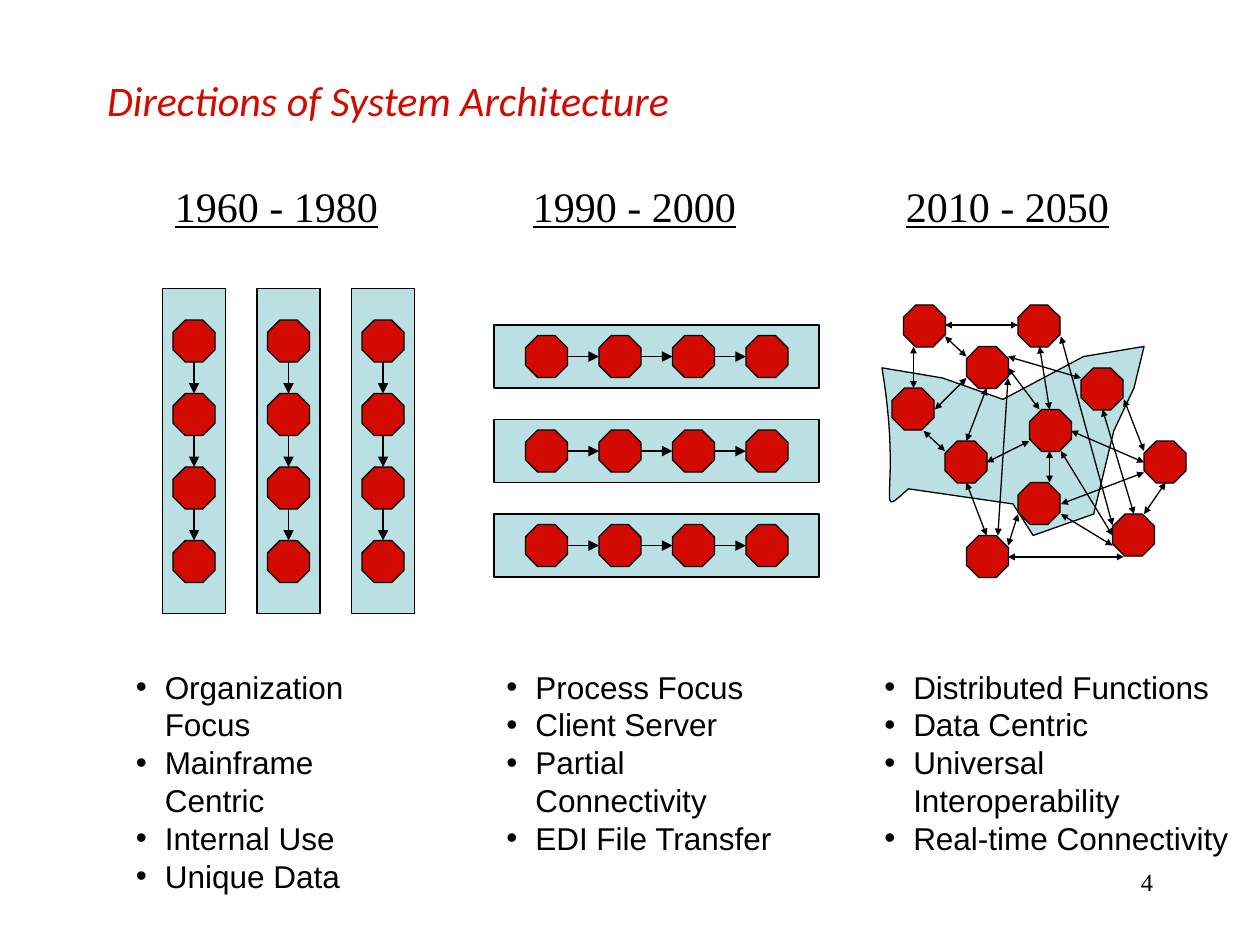
from typing import NamedTuple

from lxml.etree import SubElement
from pptx import Presentation
from pptx.dml.color import RGBColor
from pptx.enum.shapes import MSO_CONNECTOR, MSO_SHAPE
from pptx.enum.text import MSO_ANCHOR, PP_ALIGN
from pptx.oxml.ns import qn
from pptx.util import Inches, Pt

COLORS = {"red": "D30A00", "pale_blue": "BBE0E3", "black": "000000"}
NODE_SIZE = 1 / 3
NODE_STEP = 7 / 12
NODES_PER_BAND = 4
BAND_STEP = 0.75
BAND_LENGTH = 2.58
BAND_WIDTH = 0.5
NODE_INSET = (BAND_WIDTH - NODE_SIZE) / 2
NODE_OFFSET = 0.25

Point = tuple[float, float]


class Era(NamedTuple):
    years: str
    years_left: float
    bullets_left: float
    bullets_width: float
    bullets: list[str]


class Link(NamedTuple):
    start: Point
    end: Point


ERAS = [
    Era("1960 - 1980", 1.29, 0.98, 2.3,
        ["Organization Focus", "Mainframe Centric", "Internal Use", "Unique Data"]),
    Era("1990 - 2000", 4.13, 3.92, 2.42,
        ["Process Focus", "Client Server", "Partial Connectivity", "EDI File Transfer"]),
    Era("2010 - 2050", 7.09, 6.92, 3.04,
        ["Distributed Functions", "Data Centric", "Universal Interoperability",
         "Real-time Connectivity"]),
]

CLOUD_CURVE = [(7, 2.92), (7.17, 3.94), (6.92, 4.14), (7.21, 3.88)]
CLOUD_CORNERS = [
    (8.04, 4), (8.2, 4.25), (8.68, 4.08), (8.84, 3.42), (9, 3.08), (9.08, 2.75),
    (8.6, 2.83), (8.28, 3), (7.96, 3.17), (7.48, 3),
]
NETWORK_NODES = [
    (7.17, 2.42), (8.08, 2.42), (7.08, 3.08), (7.67, 2.75), (8.58, 2.92), (7.5, 3.5),
    (8.17, 3.25), (7.67, 4.25), (9.08, 3.5), (8.08, 3.83), (8.83, 4.08),
]
NETWORK_LINKS = [
    Link((7.5, 2.67), (7.67, 2.83)), Link((7.5, 2.58), (8.08, 2.58)),
    Link((7.25, 2.75), (7.25, 3.08)), Link((7.83, 3.08), (7.67, 3.5)),
    Link((7.67, 3.83), (7.83, 4.25)), Link((8.25, 2.75), (8.33, 3.25)),
    Link((8.75, 3.25), (9, 4.08)), Link((8.42, 2.67), (8.83, 4.17)),
    Link((8, 3), (7.92, 4.25)), Link((7.33, 3.42), (7.5, 3.58)),
    Link((8, 2.92), (8.25, 3.25)), Link((8.33, 3.58), (8.33, 3.83)),
    Link((8.42, 3.58), (8.83, 4.25)), Link((8.92, 3.17), (9.08, 3.58)),
    Link((9.25, 3.83), (9.08, 4.08)), Link((8, 4.42), (8.92, 4.42)),
    Link((8.42, 4.08), (8.83, 4.33)), Link((8.08, 4.08), (8, 4.33)),
    Link((7.67, 3), (7.42, 3.25)), Link((8.17, 3.5), (7.83, 3.67)),
    Link((8, 2.83), (8.58, 3)), Link((8.5, 3.42), (9.08, 3.67)),
    Link((8.42, 4), (9.08, 3.75)),
]


def rgb(name: str) -> RGBColor:
    return RGBColor.from_string(COLORS[name])


def style(shape, fill: str) -> None:
    shape.shadow.inherit = False
    shape.fill.solid()
    shape.fill.fore_color.rgb = rgb(fill)
    shape.line.color.rgb = rgb("black")
    shape.line.width = Pt(0.75)


def add_preset(slide, kind, left: float, top: float, width: float, height: float,
               fill: str) -> None:
    style(slide.shapes.add_shape(kind, Inches(left), Inches(top), Inches(width),
                                 Inches(height)), fill)


def add_node(slide, left: float, top: float) -> None:
    add_preset(slide, MSO_SHAPE.OCTAGON, left, top, NODE_SIZE, NODE_SIZE, "red")


def add_arrow(slide, link: Link, ends: tuple[str, ...] = ("tailEnd",),
              head_size: str = "med") -> None:
    arrow = slide.shapes.add_connector(
        MSO_CONNECTOR.STRAIGHT, *(Inches(value) for value in link.start + link.end))
    arrow.line.color.rgb = rgb("black")
    arrow.line.width = Pt(0.75)
    for end in ends:
        SubElement(arrow.line._get_or_add_ln(), qn(f"a:{end}"), type="triangle",
                   w=head_size, len=head_size)
    SubElement(arrow._element.spPr, qn("a:effectLst"))


def add_band(slide, left: float, top: float, vertical: bool) -> None:
    """Draw a bar holding a chain of nodes joined by arrows."""
    def place(along: float, across: float) -> Point:
        return (left + across, top + along) if vertical else (left + along, top + across)

    size = (BAND_WIDTH, BAND_LENGTH) if vertical else (BAND_LENGTH, BAND_WIDTH)
    add_preset(slide, MSO_SHAPE.RECTANGLE, left, top, *size, "pale_blue")
    starts = [NODE_OFFSET + i * NODE_STEP for i in range(NODES_PER_BAND)]
    for start in starts:
        add_node(slide, *place(start, NODE_INSET))
    for start, following in zip(starts, starts[1:]):
        add_arrow(slide, Link(place(start + NODE_SIZE, BAND_WIDTH / 2),
                              place(following, BAND_WIDTH / 2)))


def curve_points(controls: list[Point], steps: int = 24) -> list[Point]:
    """Sample a cubic Bézier curve."""
    points = []
    for step in range(steps + 1):
        t = step / steps
        weights = ((1 - t) ** 3, 3 * t * (1 - t) ** 2, 3 * t * t * (1 - t), t ** 3)
        points.append(tuple(sum(w * c[axis] for w, c in zip(weights, controls))
                            for axis in (0, 1)))
    return points


def add_cloud(slide) -> None:
    outline = [(Inches(x), Inches(y))
               for x, y in curve_points(CLOUD_CURVE) + CLOUD_CORNERS]
    builder = slide.shapes.build_freeform(*outline[0])
    builder.add_line_segments(outline[1:], close=True)
    style(builder.convert_to_shape(), "pale_blue")


def add_bullet(paragraph) -> None:
    indent = Inches(0.23)
    properties = paragraph._p.get_or_add_pPr()
    properties.set("marL", str(indent))
    properties.set("indent", str(-indent))
    SubElement(properties, qn("a:buFont"), typeface="Arial")
    SubElement(properties, qn("a:buChar"), char="•")


def write(frame, lines: list[str], *, font: str, size: float, color: str = "black",
          italic: bool = False, underline: bool = False, bullets: bool = False,
          wrap: bool = True, align=PP_ALIGN.LEFT, line_pitch: float | None = None) -> None:
    frame.word_wrap = wrap
    for index, line in enumerate(lines):
        paragraph = frame.add_paragraph() if index else frame.paragraphs[0]
        paragraph.alignment = align
        if line_pitch:
            paragraph.line_spacing = Pt(line_pitch)
        if bullets:
            add_bullet(paragraph)
        run = paragraph.add_run()
        run.text = line
        run.font.name = font
        run.font.size = Pt(size)
        run.font.italic = italic
        run.font.underline = underline
        run.font.color.rgb = rgb(color)


def add_frame(slide, left: float, top: float, width: float, height: float):
    return slide.shapes.add_textbox(Inches(left), Inches(top), Inches(width),
                                    Inches(height)).text_frame


def main() -> None:
    deck = Presentation()
    deck.slide_width, deck.slide_height = Inches(10), Inches(7.5)
    slide = deck.slides.add_slide(deck.slide_layouts[5])

    title = slide.shapes.title
    title.left, title.top = Inches(0.75), Inches(0.5)
    title.width, title.height = Inches(8.5), Inches(0.58)
    title.text_frame.vertical_anchor = MSO_ANCHOR.MIDDLE
    write(title.text_frame, ["Directions of System Architecture"], font="Calibri",
          size=24, color="red", italic=True)

    add_cloud(slide)
    for i in range(3):
        add_band(slide, 1.29 + i * BAND_STEP, 2.29, vertical=True)
        add_band(slide, 3.92, 2.58 + i * BAND_STEP, vertical=False)
    for node in NETWORK_NODES:
        add_node(slide, *node)
    for link in NETWORK_LINKS:
        add_arrow(slide, link, ends=("headEnd", "tailEnd"), head_size="sm")

    for era in ERAS:
        write(add_frame(slide, era.years_left, 1.38, 1.81, 0.5), [era.years],
              font="Times New Roman", size=24, underline=True, wrap=False)
        write(add_frame(slide, era.bullets_left, 5.25, era.bullets_width, 1.6),
              era.bullets, font="Arial", size=18, bullets=True, line_pitch=21.6)
    write(add_frame(slide, 7.17, 6.83, 2.08, 0.5), ["4"], font="Times New Roman",
          size=14, align=PP_ALIGN.RIGHT)

    deck.save("out.pptx")


if __name__ == "__main__":
    main()
